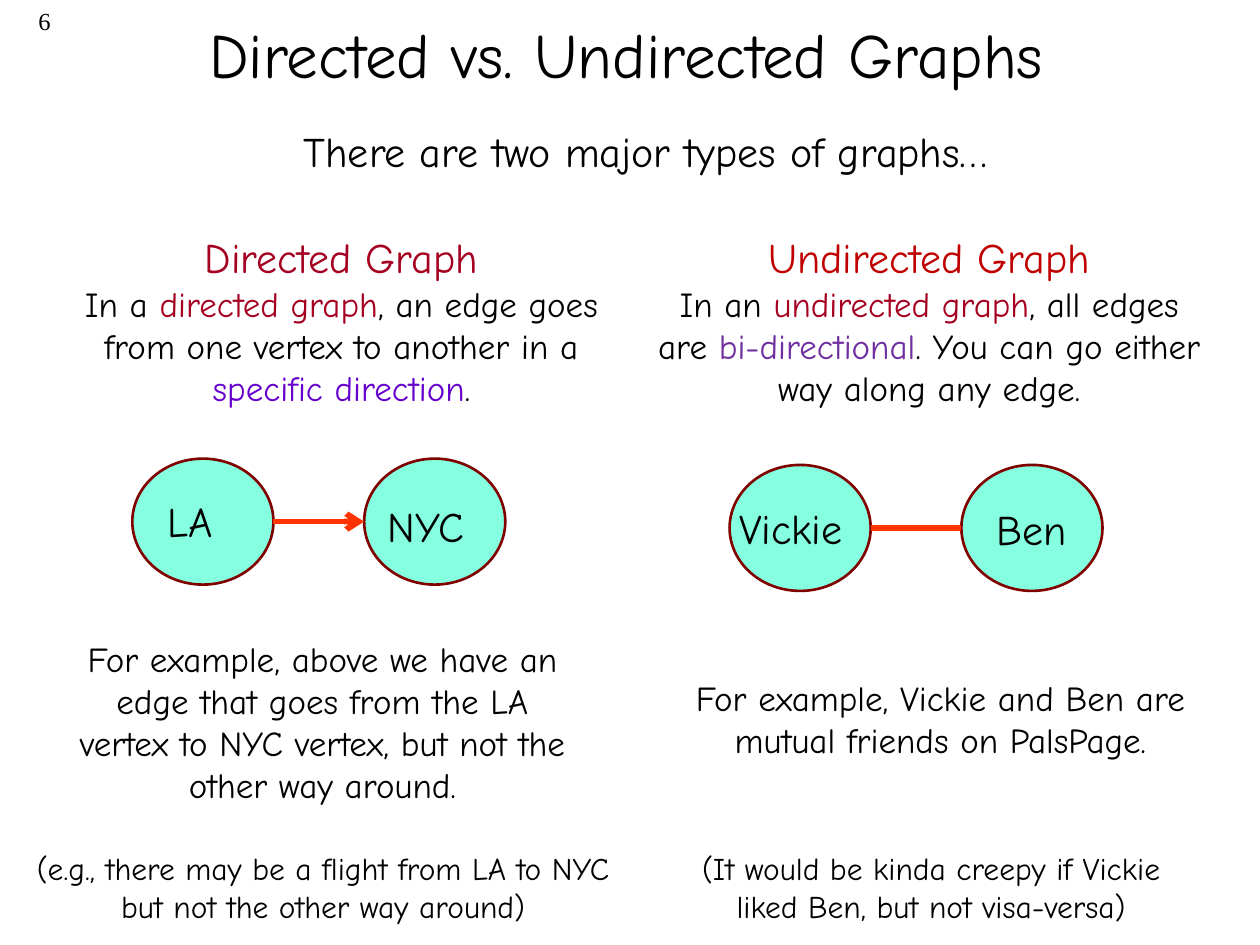
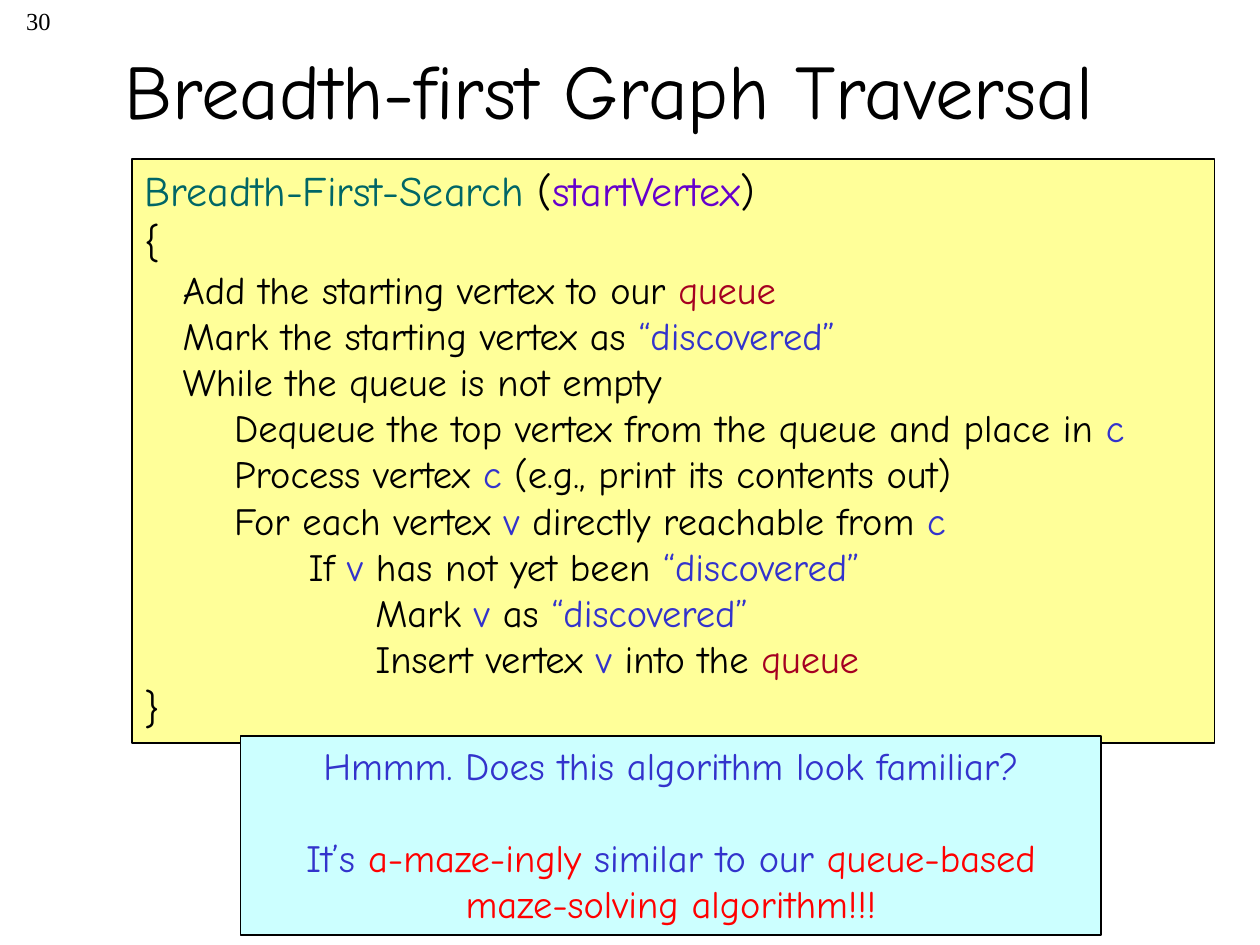
from dataclasses import dataclass

from lxml.etree import SubElement
from pptx import Presentation
from pptx.dml.color import RGBColor
from pptx.enum.shapes import MSO_CONNECTOR, MSO_SHAPE
from pptx.enum.text import MSO_ANCHOR, MSO_AUTO_SIZE, PP_ALIGN
from pptx.oxml.ns import qn
from pptx.util import Inches, Pt


@dataclass(frozen=True)
class Theme:
    """Colours, fonts and type sizes shared by all slides."""
    font: str = "Comic Neue"
    number_font: str = "Times New Roman"
    black: str = "000000"
    crimson: str = "A50021"
    brick: str = "C00000"
    red: str = "FF0000"
    violet: str = "6600CC"
    purple: str = "7030A0"
    blue: str = "3333CC"
    teal: str = "006666"
    vertex_fill: str = "85FFE0"
    vertex_line: str = "800000"
    edge: str = "FF3300"
    code_fill: str = "FFFF99"
    remark_fill: str = "CCFFFF"
    number_size: int = 14
    note_size: int = 18
    body_size: int = 20
    code_size: int = 22
    heading_size: int = 24
    title_size: int = 36
    large_title_size: int = 44


THEME = Theme()


@dataclass
class Line:
    """One paragraph: a text, or spans given as text or (text, colour)."""
    spans: list
    size: int = THEME.body_size
    color: str = THEME.black
    font: str = THEME.font
    indent: float = 0
    before: float = 0


class Deck:
    def __init__(self):
        self.deck = Presentation()
        self.deck.slide_width, self.deck.slide_height = Inches(10), Inches(7.5)
        self.page = None

    def add_page(self, number, title, title_box, title_size):
        self.page = self.deck.slides.add_slide(self.deck.slide_layouts[5])
        holder = self.page.shapes.title
        holder.left, holder.top, holder.width, holder.height = map(Inches, title_box)
        holder.text_frame.auto_size = MSO_AUTO_SIZE.NONE
        self.fill_text(holder, [Line([title], title_size)], PP_ALIGN.CENTER,
                       MSO_ANCHOR.MIDDLE)
        self.text((0, 0, 0.5, 0.5),
                  [Line([str(number)], THEME.number_size, font=THEME.number_font)],
                  PP_ALIGN.RIGHT)

    def fill_text(self, shape, lines, align, anchor=MSO_ANCHOR.TOP, wrap=True):
        frame = shape.text_frame
        frame.word_wrap = wrap
        frame.vertical_anchor = anchor
        for index, line in enumerate(lines):
            para = frame.add_paragraph() if index else frame.paragraphs[0]
            para.alignment = align
            para.space_before = Pt(line.before)
            para.font.name = line.font
            para.font.size = Pt(line.size)
            para.font.color.rgb = RGBColor.from_string(line.color)
            if line.indent:
                para._p.get_or_add_pPr().set("marL", str(Inches(line.indent)))
            for part in line.spans:
                text, color = (part, None) if isinstance(part, str) else part
                span = para.add_run()
                span.text = text
                if color:
                    span.font.color.rgb = RGBColor.from_string(color)
                elif shape.is_placeholder is False:
                    span.font.color.rgb = RGBColor.from_string(line.color)

    def text(self, box, lines, align=PP_ALIGN.CENTER, wrap=True):
        shape = self.page.shapes.add_textbox(*map(Inches, box))
        self.fill_text(shape, lines, align, wrap=wrap)

    def shape(self, kind, box, fill, outline, weight):
        shape = self.page.shapes.add_shape(kind, *map(Inches, box))
        shape.shadow.inherit = False
        shape.fill.solid()
        shape.fill.fore_color.rgb = RGBColor.from_string(fill)
        shape.line.color.rgb = RGBColor.from_string(outline)
        shape.line.width = Pt(weight)
        return shape

    def panel(self, box, fill, lines, align):
        panel = self.shape(MSO_SHAPE.RECTANGLE, box, fill, THEME.black, 1)
        self.fill_text(panel, lines, align)

    def edge(self, start, end, directed):
        edge = self.page.shapes.add_connector(
            MSO_CONNECTOR.STRAIGHT, *map(Inches, start + end))
        edge.line.color.rgb = RGBColor.from_string(THEME.edge)
        edge.line.width = Pt(3.25)
        if directed:
            SubElement(edge.line._get_or_add_ln(), qn("a:tailEnd"), type="arrow")
        SubElement(edge._element.spPr, qn("a:effectLst"))

    def vertex_pair(self, left, top, labels, directed):
        """Two vertices joined by an edge; labels are (text, box)."""
        width, height, step = 1.12, 1, 1.84
        for x in (left, left + step):
            self.shape(MSO_SHAPE.OVAL, (x, top, width, height),
                       THEME.vertex_fill, THEME.vertex_line, 1.5)
        middle = top + height / 2
        self.edge((left + width, middle), (left + step, middle), directed)
        for label, box in labels:
            self.text(box, [Line([label], THEME.heading_size)], PP_ALIGN.LEFT, wrap=False)


def build_graph_types(deck):
    deck.add_page(6, "Directed vs. Undirected Graphs", (0.27, -0.2, 9.4, 1.25),
                  THEME.title_size)
    deck.text((0.61, 0.95, 9.03, 0.5),
              [Line(["There are two major types of graphs…"], THEME.heading_size)])

    # Definitions
    deck.text((0.57, 1.79, 4.28, 1.51), [
        Line(["Directed Graph"], THEME.heading_size, THEME.crimson),
        Line(["In a ", ("directed graph", THEME.crimson),
              ", an edge goes from one vertex to another in a ",
              ("specific direction", THEME.violet), "."])])
    deck.text((5.08, 1.79, 4.59, 1.51), [
        Line(["Undirected Graph"], THEME.heading_size, THEME.brick),
        Line(["In an ", ("undirected graph", THEME.crimson), ", all edges are ",
              ("bi-directional", THEME.purple),
              ". You can go either way along any edge."])])

    # Example graphs
    deck.vertex_pair(1.05, 3.64, [("LA", (1.23, 3.88, 0.63, 0.5)),
                                  ("NYC", (2.98, 3.92, 0.89, 0.5))], directed=True)
    deck.vertex_pair(5.79, 3.69, [("Vickie", (5.77, 3.94, 1.15, 0.5)),
                                  ("Ben", (7.81, 3.95, 0.78, 0.5))], directed=False)

    # Explanations and remarks
    for box, text, size in (
        ((0.46, 5.01, 4.2, 1.45),
         "For example, above we have an edge that goes from the LA vertex "
         "to NYC vertex, but not the other way around.", THEME.body_size),
        ((5.22, 5.32, 4.49, 0.77),
         "For example, Vickie and Ben are mutual friends on PalsPage.", THEME.body_size),
        ((0.15, 6.69, 4.83, 0.71),
         "(e.g., there may be a flight from LA to NYC but not the other way around)",
         THEME.note_size),
        ((5.22, 6.69, 4.34, 0.71),
         "(It would be kinda creepy if Vickie liked Ben, but not visa-versa)",
         THEME.note_size),
    ):
        deck.text(box, [Line([text], size)])


def build_breadth_first(deck):
    deck.add_page(30, "Breadth-first Graph Traversal", (0, 0.08, 9.67, 1.25),
                  THEME.large_title_size)

    # Pseudocode: nesting level and spans of each step
    queue = ("queue", THEME.crimson)
    discovered = ("“discovered”", THEME.blue)
    current, neighbour = ("c", THEME.blue), ("v", THEME.blue)
    indents = (0, 0.3, 0.71, 1.3, 1.83)
    steps = [
        (1, ["Add the starting vertex to our ", queue]),
        (1, ["Mark the starting vertex as ", discovered]),
        (1, ["While the queue is not empty"]),
        (2, ["Dequeue the top vertex from the queue and place in ", current]),
        (2, ["Process vertex ", current, " (e.g., print its contents out)"]),
        (2, ["For each vertex ", neighbour, " directly reachable from ", current]),
        (3, ["If ", neighbour, " has not yet been ", discovered]),
        (4, ["Mark ", neighbour, " as ", discovered]),
        (4, ["Insert vertex ", neighbour, " into the ", queue]),
    ]
    code = [
        Line([("Breadth-First-Search ", THEME.teal), "(",
              ("startVertex", THEME.violet), ")"], THEME.heading_size),
        Line(["{"], THEME.heading_size),
        *(Line(spans, THEME.code_size, indent=indents[level]) for level, spans in steps),
        Line(["}"], THEME.heading_size),
    ]
    deck.panel((1.05, 1.26, 8.59, 4.64), THEME.code_fill, code, PP_ALIGN.LEFT)

    # Closing remark
    deck.panel((1.91, 5.84, 6.83, 1.58), THEME.remark_fill, [
        Line(["Hmmm. Does this algorithm look familiar?"], THEME.code_size, THEME.blue),
        Line(["It’s ", ("a-maze-ingly ", THEME.red), "similar to our ",
              ("queue-based maze-solving algorithm!!!", THEME.red)],
             THEME.code_size, THEME.blue, before=26),
    ], PP_ALIGN.CENTER)


def main():
    deck = Deck()
    build_graph_types(deck)
    build_breadth_first(deck)
    deck.deck.save("out.pptx")


if __name__ == "__main__":
    main()
